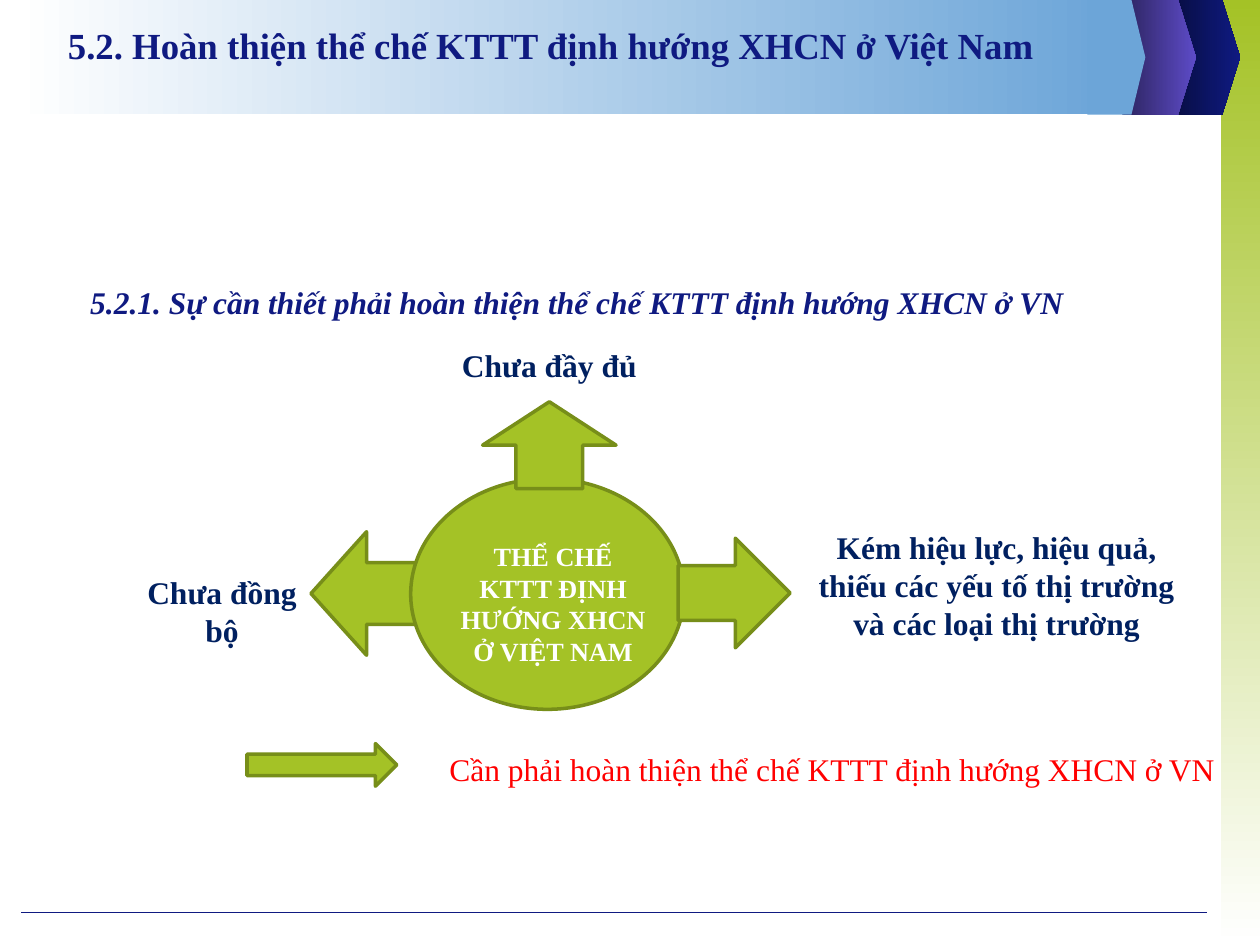
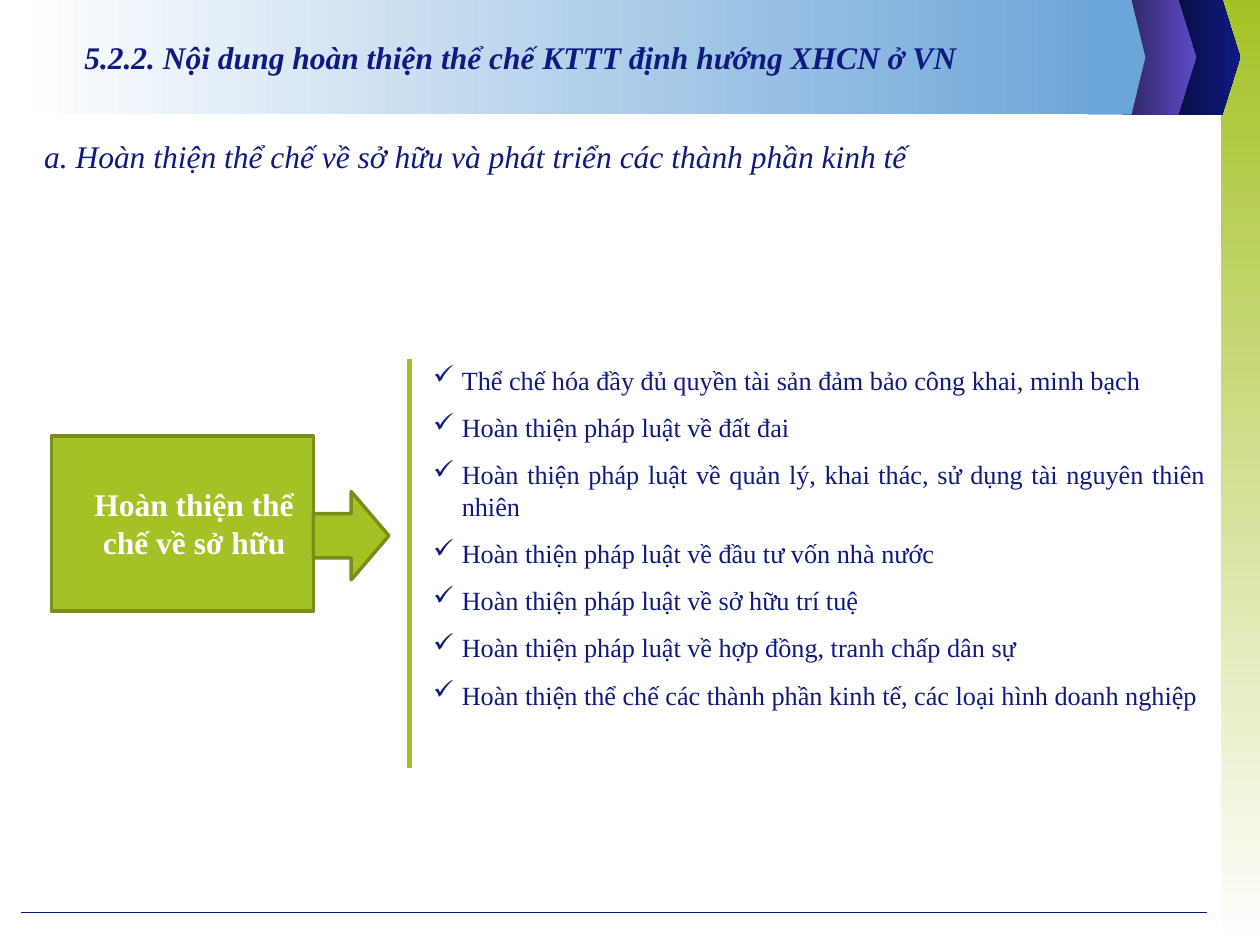
"""Build two slides on completing the institutions of the market economy."""
from lxml import etree
from pptx import Presentation
from pptx.dml import color
from pptx.enum import shapes, text
from pptx.oxml import ns
from pptx.util import Cm, Pt

COLORS = {
    "navy": "0F1A81", "midnight": "070C3C", "violet": "5D4BC7", "plum": "2B235C",
    "sky": "6CA5D8", "lime": "A4C226", "olive": "778E19", "rule": "A3C121",
    "label": "002060", "red": "FF0000", "white": "FFFFFF",
}
FONT = "Times New Roman"
RIGHT, DOWN = 0, 270
BAND_HEIGHT = 2.31
SHAPE = shapes.MSO_SHAPE
ALIGN = text.PP_ALIGN


def rgb(name):
    return color.RGBColor.from_string(COLORS[name])


def add_bullet(paragraph, mark, ink):
    properties = paragraph._p.get_or_add_pPr()
    properties.set("marL", str(Cm(0.58)))
    properties.set("indent", str(-Cm(0.58)))
    bullet_color = etree.SubElement(properties, ns.qn("a:buClr"))
    etree.SubElement(bullet_color, ns.qn("a:srgbClr"), val=COLORS[ink])
    etree.SubElement(properties, ns.qn("a:buChar"), char=mark)


def write(paragraph, wording, size=18, ink="navy", bold=False, italic=False,
          align=ALIGN.LEFT, bullet=None, before=0, after=0):
    if bullet:
        add_bullet(paragraph, bullet, ink)
    paragraph.alignment = align
    paragraph.space_before, paragraph.space_after = Pt(before), Pt(after)
    run = paragraph.add_run()
    run.text = wording
    font = run.font
    font.name, font.size, font.bold, font.italic = FONT, Pt(size), bold, italic
    font.color.rgb = rgb(ink)


class Deck:
    """Hold the shared style and the slide being built."""

    def __init__(self):
        self.presentation = Presentation()
        self.presentation.slide_width = Cm(25.4)
        self.presentation.slide_height = Cm(19.05)
        self.slide = None

    def start_slide(self):
        self.slide = self.presentation.slides.add_slide(self.presentation.slide_layouts[6])
        self.block(SHAPE.RECTANGLE, 24.61, 0, 0.79, 19.05, ("lime", "white"), DOWN, None)
        self.chevron(23.5, 1.14, 1.5, ("midnight", "navy"))
        self.chevron(22.61, 1.14, 1.5, ("plum", "violet"))
        self.rule(0.43, 18.39, 24.33, 18.39, "navy", 0.75)
        self.block(SHAPE.RECTANGLE, 0.3, 0, 22.1, BAND_HEIGHT, ("white", "sky"), RIGHT, None)
        self.chevron(21.92, 0.89, 1.17, ("sky",))

    def paint(self, shape, fills, angle=RIGHT, outline=None):
        shape.shadow.inherit = False
        if len(fills) == 1:
            shape.fill.solid()
            shape.fill.fore_color.rgb = rgb(fills[0])
        else:
            shape.fill.gradient()
            shape.fill.gradient_angle = angle
            for stop, name in zip(shape.fill.gradient_stops, fills):
                stop.color.rgb = rgb(name)
        if outline:
            shape.line.color.rgb = rgb(outline)
            shape.line.width = Pt(2)
        else:
            shape.line.fill.background()

    def block(self, kind, left, top, width, height, fills=("lime",), angle=RIGHT, outline="olive"):
        shape = self.slide.shapes.add_shape(kind, Cm(left), Cm(top), Cm(width), Cm(height))
        self.paint(shape, fills, angle, outline)

    def chevron(self, left, straight, width, fills):
        corners = [(straight, 0), (width, BAND_HEIGHT / 2), (straight, BAND_HEIGHT), (0, BAND_HEIGHT)]
        builder = self.slide.shapes.build_freeform(Cm(left), Cm(0))
        builder.add_line_segments([(Cm(left + x), Cm(y)) for x, y in corners])
        self.paint(builder.convert_to_shape(), fills)

    def rule(self, x1, y1, x2, y2, ink, weight):
        line = self.slide.shapes.add_connector(
            shapes.MSO_CONNECTOR.STRAIGHT, Cm(x1), Cm(y1), Cm(x2), Cm(y2))
        line.line.color.rgb = rgb(ink)
        line.line.width = Pt(weight)
        etree.SubElement(line._element.spPr, ns.qn("a:effectLst"))

    def frame(self, left, top, width, height):
        box = self.slide.shapes.add_textbox(Cm(left), Cm(top), Cm(width), Cm(height))
        box.text_frame.word_wrap = True
        box.text_frame.auto_size = text.MSO_AUTO_SIZE.SHAPE_TO_FIT_TEXT
        return box.text_frame

    def words(self, left, top, width, height, wording, **style):
        write(self.frame(left, top, width, height).paragraphs[0], wording, **style)

    def checklist(self, left, top, width, height, items):
        frame = self.frame(left, top, width, height)
        for index, item in enumerate(items):
            paragraph = frame.add_paragraph() if index else frame.paragraphs[0]
            write(paragraph, item, size=15, align=ALIGN.JUSTIFY, bullet="✓",
                  before=4.5 if index else 0, after=4.5)


def build_need(deck):
    deck.start_slide()
    deck.block(SHAPE.LEFT_ARROW, 6.27, 10.72, 2.24, 2.49)
    deck.words(1.12, 0.33, 20.04, 1.14,
               "5.2. Hoàn thiện thể chế KTTT định hướng XHCN ở Việt Nam", size=21, bold=True)
    deck.words(1.57, 5.59, 20.78, 1.02,
               "5.2.1. Sự cần thiết phải hoàn thiện thể chế KTTT định hướng XHCN ở VN",
               bold=True, italic=True)
    deck.block(SHAPE.OVAL, 8.28, 9.65, 5.51, 4.65)
    deck.words(8.99, 10.77, 4.32, 2.79, "THỂ CHẾ KTTT ĐỊNH HƯỚNG XHCN Ở VIỆT NAM",
               size=15, ink="white", bold=True, align=ALIGN.CENTER)
    deck.block(SHAPE.UP_ARROW, 9.73, 8.1, 2.69, 1.75)
    deck.block(SHAPE.RIGHT_ARROW, 13.67, 10.85, 2.26, 2.21)
    shortcomings = [
        (8.99, 6.86, 4.17, 1.02, "Chưa đầy đủ"),
        (2.67, 11.43, 3.61, 1.78, "Chưa đồng bộ"),
        (16.13, 10.52, 7.92, 2.54,
         "Kém hiệu lực, hiệu quả, thiếu các yếu tố thị trường và các loại thị trường"),
    ]
    for shortcoming in shortcomings:
        deck.words(*shortcoming, ink="label", bold=True, align=ALIGN.CENTER)
    deck.block(SHAPE.RIGHT_ARROW, 4.98, 14.99, 3.02, 0.86)
    deck.words(8.81, 14.99, 16.59, 1.02,
               "Cần phải hoàn thiện thể chế KTTT định hướng XHCN ở VN", ink="red")


def build_ownership(deck):
    deck.start_slide()
    deck.words(1.45, 0.64, 20.78, 1.02,
               "5.2.2. Nội dung hoàn thiện thể chế KTTT định hướng XHCN ở VN",
               bold=True, italic=True)
    deck.words(0.64, 2.64, 20.73, 1.02,
               "a. Hoàn thiện thể chế về sở hữu và phát triển các thành phần kinh tế", italic=True)
    deck.block(SHAPE.RECTANGLE, 1.04, 8.79, 5.28, 3.53)
    deck.words(1.5, 9.65, 4.83, 1.78, "Hoàn thiện thể chế về sở hữu",
               ink="white", bold=True, align=ALIGN.CENTER)
    deck.checklist(8.48, 7.21, 16.08, 7.24, [
        "Thể chế hóa đầy đủ quyền tài sản đảm bảo công khai, minh bạch",
        "Hoàn thiện pháp luật về đất đai",
        "Hoàn thiện pháp luật về quản lý, khai thác, sử dụng tài nguyên thiên nhiên",
        "Hoàn thiện pháp luật về đầu tư vốn nhà nước",
        "Hoàn thiện pháp luật về sở hữu trí tuệ",
        "Hoàn thiện pháp luật về hợp đồng, tranh chấp dân sự",
        "Hoàn thiện thể chế các thành phần kinh tế, các loại hình doanh nghiệp",
    ])
    deck.rule(8.25, 7.24, 8.25, 15.49, "rule", 2.75)
    deck.block(SHAPE.RIGHT_ARROW, 6.32, 9.91, 1.52, 1.78)


def main():
    deck = Deck()
    build_need(deck)
    build_ownership(deck)
    deck.presentation.save("out.pptx")


if __name__ == "__main__":
    main()
